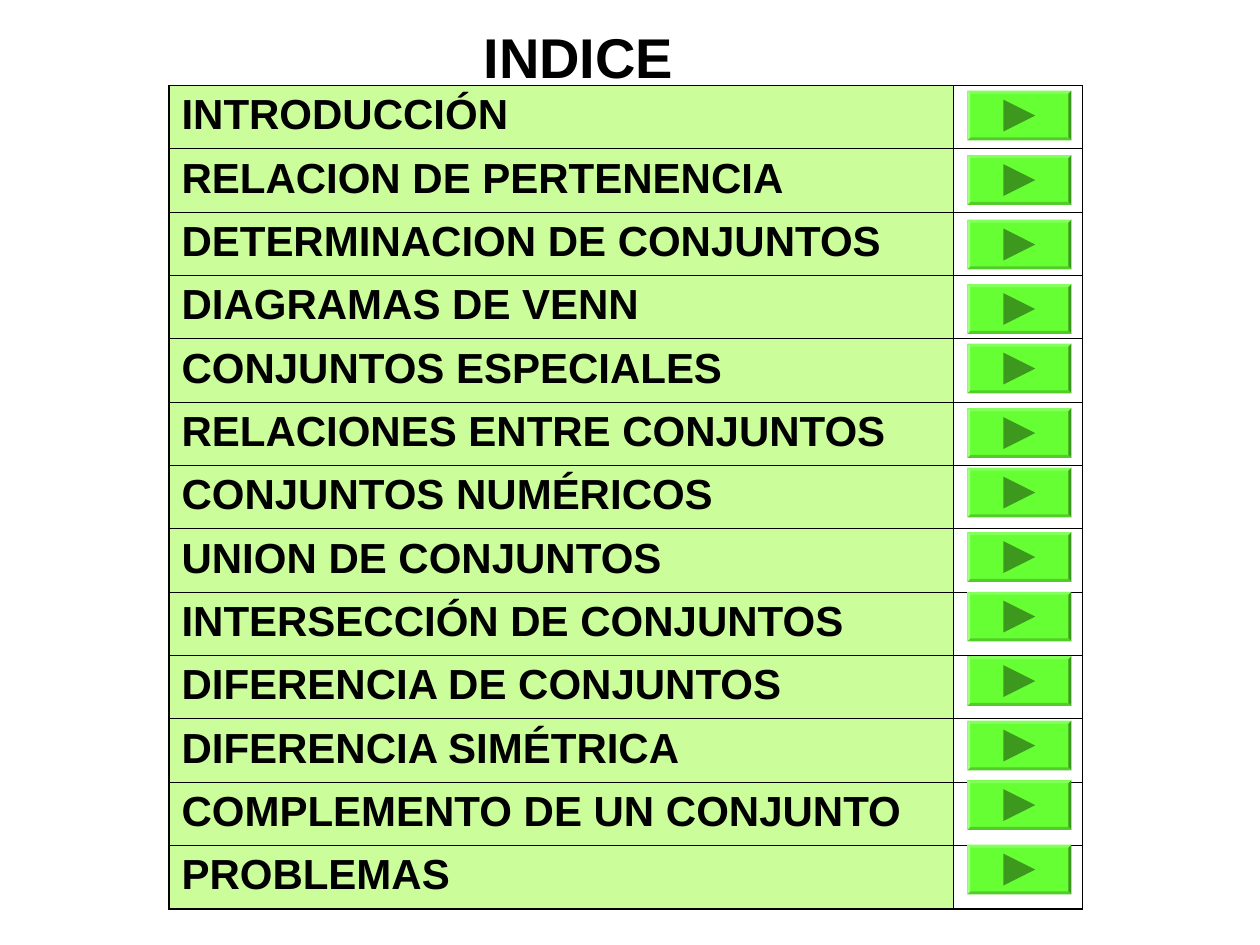
from copy import deepcopy
from itertools import accumulate

from lxml import etree
from pptx import Presentation
from pptx import util as u
from pptx.dml.color import RGBColor
from pptx.enum import text
from pptx.oxml.ns import qn

COLORS = {"ink": "000000", "row": "CCFD9B", "button": "66FF33"}
FONT = "Arial"
TOPICS = [
    "INTRODUCCIÓN",
    "RELACION DE PERTENENCIA",
    "DETERMINACION DE CONJUNTOS",
    "DIAGRAMAS DE VENN",
    "CONJUNTOS ESPECIALES",
    "RELACIONES ENTRE CONJUNTOS",
    "CONJUNTOS NUMÉRICOS",
    "UNION DE CONJUNTOS",
    "INTERSECCIÓN DE CONJUNTOS",
    "DIFERENCIA DE CONJUNTOS",
    "DIFERENCIA SIMÉTRICA",
    "COMPLEMENTO DE UN CONJUNTO",
    "PROBLEMAS",
]
# Distances from the top of the first button to each of the others
BUTTON_OFFSETS = list(accumulate(
    [0, 1.3, 1.3, 1.3, 1.2, 1.3, 1.2, 1.3, 1.2, 1.3, 1.3, 1.2, 1.3]))
THIN, THICK = 0.45, 1.08


def color(name):
    return RGBColor.from_string(COLORS[name])


def write(frame, words, size):
    paragraph = frame.paragraphs[0]
    paragraph.alignment = text.PP_ALIGN.LEFT
    paragraph.space_before = u.Pt(0)
    run = paragraph.add_run()
    run.text = words
    run.font.name = FONT
    run.font.size = u.Pt(size)
    run.font.bold = True
    run.font.color.rgb = color("ink")


def add_title(slide, left, top, width, height):
    frame = slide.shapes.add_textbox(
        u.Cm(left), u.Cm(top), u.Cm(width), u.Cm(height)).text_frame
    frame.word_wrap = True
    frame.margin_left = frame.margin_right = u.Cm(0.25)
    frame.margin_top = frame.margin_bottom = u.Cm(0.13)
    write(frame, "INDICE", 32)


def set_borders(cell, **widths):
    properties = cell._tc.get_or_add_tcPr()
    for side in ("L", "R", "T", "B"):
        line = etree.SubElement(properties, qn(f"a:ln{side}"),
                                w=str(u.Pt(widths[side])))
        fill = etree.SubElement(line, qn("a:solidFill"))
        etree.SubElement(fill, qn("a:srgbClr"), val=COLORS["ink"])


def add_topics(slide, left, top, column_widths, height):
    count = len(TOPICS)
    table = slide.shapes.add_table(
        count, 2, u.Cm(left), u.Cm(top),
        u.Cm(sum(column_widths)), u.Cm(height)).table
    table.first_row = table.horz_banding = False
    for column, width in zip(table.columns, column_widths):
        column.width = u.Cm(width)
    for index, topic in enumerate(TOPICS):
        table.rows[index].height = u.Cm(height / count)
        topic_cell, button_cell = table.rows[index].cells
        edges = {"R": THIN, "T": THIN,
                 "B": THICK if index == count - 1 else THIN}
        set_borders(topic_cell, L=THICK, **edges)
        set_borders(button_cell, L=THIN, **edges)
        topic_cell.fill.solid()
        topic_cell.fill.fore_color.rgb = color("row")
        button_cell.fill.background()
        for cell in (topic_cell, button_cell):
            cell.margin_left = cell.margin_right = u.Cm(0.25)
            cell.margin_top = cell.margin_bottom = u.Cm(0.13)
        write(topic_cell.text_frame, topic, 24)


def add_next_button(slide, left, top, width, height):
    """Draw a bevelled button as one freeform whose faces have their own shades."""
    bevel, half = 0.06, 0.32
    right, bottom = left + width, top + height
    middle_x, middle_y = left + width / 2, top + height / 2
    outer = [(left, top), (right, top), (right, bottom), (left, bottom)]
    inner = [(left + bevel, top + bevel), (right - bevel, top + bevel),
             (right - bevel, bottom - bevel), (left + bevel, bottom - bevel)]
    sides = [[outer[i], outer[(i + 1) % 4], inner[(i + 1) % 4], inner[i]]
             for i in range(4)]
    arrow = [(middle_x - half, middle_y - half), (middle_x + half, middle_y),
             (middle_x - half, middle_y + half)]
    contours = [[(u.Cm(x), u.Cm(y)) for x, y in points]
                for points in (outer, *sides, arrow)]
    shades = ["norm", "lightenLess", "darken", "darkenLess", "lighten", "darken"]

    builder = slide.shapes.build_freeform(*contours[0][0])
    for index, points in enumerate(contours):
        if index:
            builder.move_to(*points[0])
        builder.add_line_segments(points[1:], close=True)
    shape = builder.convert_to_shape()
    shape.shadow.inherit = False
    shape.fill.solid()
    shape.fill.fore_color.rgb = color("button")
    shape.line.fill.background()

    # Give each contour its own path, so that it can be shaded
    path_list = shape._element.spPr.find(f".//{qn('a:pathLst')}")
    whole = path_list[0]
    steps = list(whole)
    for step in steps:
        whole.remove(step)
    path_list.remove(whole)
    shade = iter(shades)
    for step in steps:
        if step.tag == qn("a:moveTo"):
            face = deepcopy(whole)
            face.set("fill", next(shade))
            path_list.append(face)
        face.append(step)


def main():
    presentation = Presentation()
    presentation.slide_width, presentation.slide_height = u.Cm(25.4), u.Cm(19.05)
    slide = presentation.slides.add_slide(presentation.slide_layouts[6])
    add_title(slide, 9.5, 0.33, 4.7, 1.63)
    add_topics(slide, 3.41, 1.72, (15.8, 2.6), 16.6)
    for offset in BUTTON_OFFSETS:
        add_next_button(slide, 19.5, 1.83 + offset, 2.1, 1)
    presentation.save("out.pptx")


if __name__ == "__main__":
    main()
